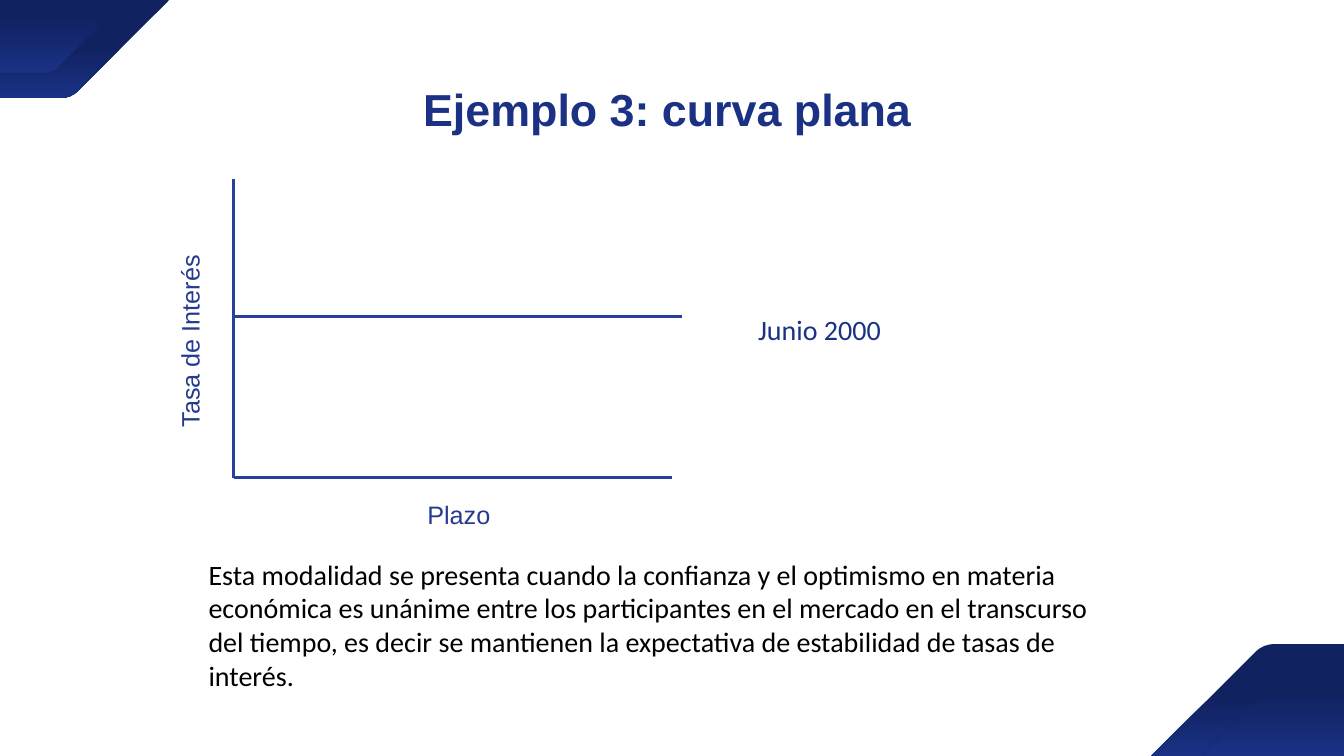
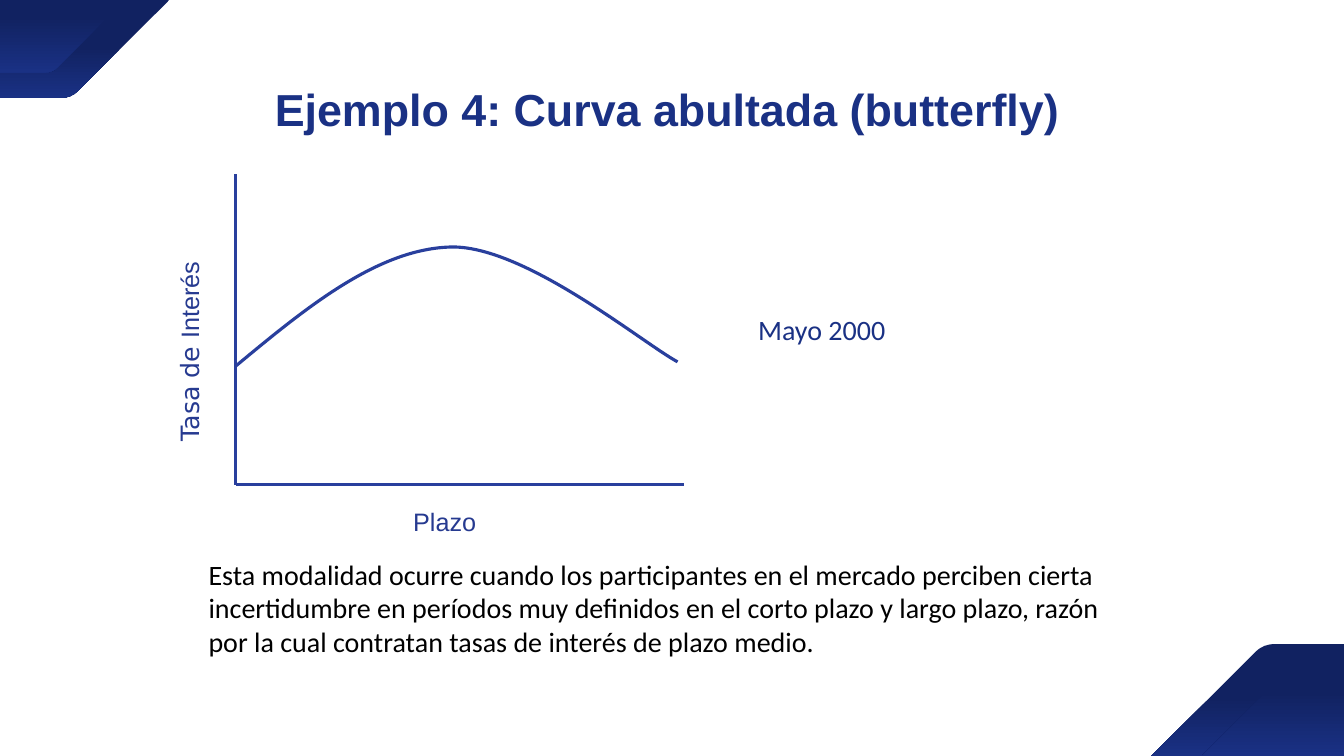
"""Build two slides on the flat and the humped yield curve."""
from lxml import etree
from pptx import Presentation
from pptx import util as u
from pptx.dml.color import RGBColor
from pptx.enum import shapes, text
from pptx.oxml import ns

NAVY = RGBColor(0x11, 0x22, 0x61)
BLUE = RGBColor(0x1A, 0x31, 0x84)
AXIS_BLUE = RGBColor(0x29, 0x3F, 0x9D)
LABEL_BLUE = RGBColor(0x26, 0x3A, 0x90)
BLACK = RGBColor(0, 0, 0)

WIDTH, HEIGHT = 13.33, 7.5
LINE_WIDTH = 2.25
TITLE_BOX = (0.79, 0.54, 11.66, 0.81)
DATE_BOX = (7.42, 3.05, 3.18, 0.44)
BODY_LEFT, BODY_TOP, BODY_WIDTH = 1.97, 5.48, 9.3

# Each band: width, height, share of the gradient that stays dark.
TOP_BANDS = [(1.68, 0.97, 0.48), (1.24, 0.72, 0.23)]
BOTTOM_BANDS = [(1.91, 1.11, 0.48), (1.41, 0.82, 0.23)]
BAND_PROFILE = [(0, 0), (0, 1), (0.36, 1), (0.4, 1), (0.43, 0.98), (0.46, 0.93), (1, 0)]
BAND_BENDS = [2]

SLIDES = [
    {
        "title": "Ejemplo 3: curva plana",
        "date": "Junio 2000",
        "body": "Esta modalidad se presenta cuando la confianza y el optimismo en materia "
                "económica es unánime entre los participantes en el mercado en el transcurso "
                "del tiempo, es decir se mantienen la expectativa de estabilidad de tasas de "
                "interés.",
        "body_height": 1.45,
        "axes": {"left": 2.32, "top": 1.78, "right": 6.67, "bottom": 4.74},
        "curve": [(2.32, 3.14), (6.76, 3.14)],
        "rate": [("Tasa de Interés", "Arial")],
        "rate_box": (0.76, 2.91, 2.35, 0.51),
        "term_box": (4.14, 4.9, 1.04, 0.49),
    },
    {
        "title": "Ejemplo 4: Curva abultada (butterfly)",
        "date": "Mayo 2000",
        "body": "Esta modalidad ocurre cuando los participantes en el mercado perciben cierta "
                "incertidumbre en períodos muy definidos en el corto plazo y largo plazo, razón "
                "por la cual contratan tasas de interés de plazo medio.",
        "body_height": 1.11,
        "axes": {"left": 2.34, "top": 1.73, "right": 6.78, "bottom": 4.81},
        "curve": [(2.34, 3.63), (3.05, 3.04), (3.76, 2.46), (4.49, 2.45),
                  (5.22, 2.45), (6.37, 3.4), (6.72, 3.59)],
        "rate": [("Tasa de ", "DejaVu Sans"), ("Interés", "Arial")],
        "rate_box": (0.8, 3.08, 2.27, 0.52),
        "term_box": (4, 4.97, 1.06, 0.51),
    },
]


def add_outline(slide, points, bends, close):
    """Add a freeform in inches; each bend is the index where a cubic piece starts."""
    corners = [(u.Inches(x), u.Inches(y)) for x, y in points]
    builder = slide.shapes.build_freeform(*corners[0])
    builder.add_line_segments(corners[1:], close=close)
    outline = builder.convert_to_shape()
    outline.shadow.inherit = False
    segments = list(outline._element.iter(ns.qn("a:lnTo")))
    for bend in bends:
        cubic = etree.Element(ns.qn("a:cubicBezTo"))
        pieces = segments[bend:bend + 3]
        pieces[0].addprevious(cubic)
        for piece in pieces:
            cubic.append(piece[0])
            piece.getparent().remove(piece)
    return outline


def style_line(line):
    """Give a line the colour and weight of the diagram."""
    line.color.rgb = AXIS_BLUE
    line.width = u.Pt(LINE_WIDTH)


def add_straight(slide, start, end):
    """Add one straight line of the diagram."""
    straight = slide.shapes.add_connector(
        shapes.MSO_CONNECTOR.STRAIGHT, *(u.Inches(v) for v in (*start, *end)))
    style_line(straight.line)
    etree.SubElement(straight._element.spPr, ns.qn("a:effectLst"))


def add_curve(slide, points):
    """Add the yield curve, straight or made of cubic pieces."""
    if len(points) == 2:
        add_straight(slide, *points)
        return
    curve = add_outline(slide, points, range(0, len(points) - 1, 3), close=False)
    curve.fill.background()
    style_line(curve.line)


def add_bands(slide, bands, flipped):
    """Add the gradient bands of one corner."""
    for width, height, dark_share in bands:
        points = [(x * width, y * height) for x, y in BAND_PROFILE]
        if flipped:
            points = [(WIDTH - x, HEIGHT - y) for x, y in points]
        band = add_outline(slide, points, BAND_BENDS, close=True)
        band.line.fill.background()
        band.fill.gradient()
        band.fill.gradient_angle = 270
        for stop, color, position in zip(band.fill.gradient_stops, (NAVY, BLUE), (dark_share, 1)):
            stop.color.rgb = color
            stop.position = position


def add_runs(paragraph, runs, size, color, bold=False):
    """Add formatted runs, each a pair of words and font."""
    for words, font in runs:
        run = paragraph.add_run()
        run.text = words
        run.font.name = font
        run.font.size = u.Pt(size)
        run.font.bold = bold
        run.font.color.rgb = color


def add_text(slide, box, runs, size, color, wrap=True, rotation=0):
    """Add a text box holding one paragraph."""
    label = slide.shapes.add_textbox(*(u.Inches(v) for v in box))
    label.rotation = rotation
    label.text_frame.word_wrap = wrap
    label.text_frame.auto_size = text.MSO_AUTO_SIZE.SHAPE_TO_FIT_TEXT
    add_runs(label.text_frame.paragraphs[0], runs, size, color)


def set_title(slide, words):
    """Move, fill and format the title placeholder."""
    title = slide.shapes.title
    title.left, title.top, title.width, title.height = (u.Inches(v) for v in TITLE_BOX)
    frame = title.text_frame
    frame.margin_left = frame.margin_right = u.Inches(0.07)
    frame.margin_top = frame.margin_bottom = u.Inches(0.05)
    frame.vertical_anchor = text.MSO_ANCHOR.MIDDLE
    frame.auto_size = text.MSO_AUTO_SIZE.SHAPE_TO_FIT_TEXT
    paragraph = frame.paragraphs[0]
    paragraph.alignment = text.PP_ALIGN.CENTER
    paragraph.line_spacing = 1.5
    add_runs(paragraph, [(words, "Arial")], 32, BLUE, bold=True)


def build_slide(deck, content):
    """Add one slide with its diagram and explanation."""
    slide = deck.slides.add_slide(deck.slide_layouts[5])
    set_title(slide, content["title"])
    add_bands(slide, BOTTOM_BANDS, flipped=True)
    add_bands(slide, TOP_BANDS, flipped=False)
    add_text(slide, DATE_BOX, [(content["date"], "Calibri")], 20, BLUE)
    body_box = (BODY_LEFT, BODY_TOP, BODY_WIDTH, content["body_height"])
    add_text(slide, body_box, [(content["body"], "Calibri")], 20, BLACK)

    axes = content["axes"]
    origin = (axes["left"], axes["bottom"])
    add_straight(slide, (axes["left"], axes["top"]), origin)
    add_straight(slide, origin, (axes["right"], axes["bottom"]))
    add_text(slide, content["rate_box"], content["rate"], 18, LABEL_BLUE, wrap=False, rotation=270)
    add_text(slide, content["term_box"], [("Plazo", "Arial")], 18, LABEL_BLUE, wrap=False)
    add_curve(slide, content["curve"])


def main():
    """Build and save the deck."""
    deck = Presentation()
    deck.slide_width, deck.slide_height = u.Inches(WIDTH), u.Inches(HEIGHT)
    for content in SLIDES:
        build_slide(deck, content)
    deck.save("out.pptx")


if __name__ == "__main__":
    main()
